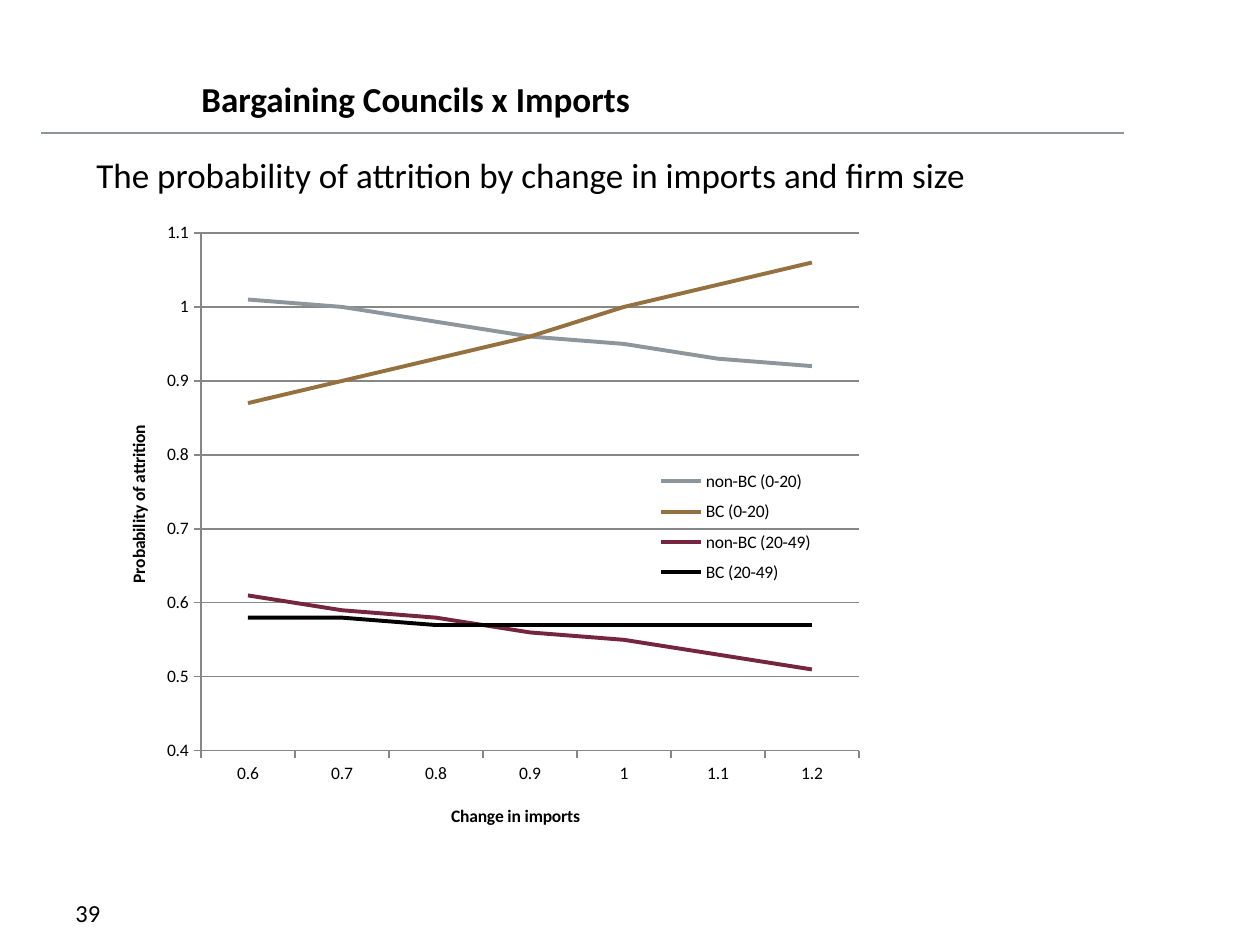
from dataclasses import dataclass

from lxml import etree
from pptx import Presentation
from pptx import util as u
from pptx.chart import data as chart_data
from pptx.dml import color
from pptx.enum import chart as ec
from pptx.enum import shapes, text
from pptx.oxml import ns

SCALE = 914400 / 126  # EMU per pixel


@dataclass(frozen=True)
class Theme:
    """Colours, font and type sizes of the slide."""
    font: str = "Calibri"
    ink: str = "000000"
    rule: str = "8C969C"
    grid: str = "878787"
    heading: int = 20
    number: int = 14
    chart: int = 10
    line: float = 2.25
    hairline: float = 0.75


THEME = Theme()
CATEGORIES = ["0.6", "0.7", "0.8", "0.9", "1", "1.1", "1.2"]
SERIES = [
    ("non-BC (0-20)", "8C969C", [1.01, 1, 0.98, 0.96, 0.95, 0.93, 0.92]),
    ("BC (0-20)", "967140", [0.87, 0.9, 0.93, 0.96, 1, 1.03, 1.06]),
    ("non-BC (20-49)", "75263D", [0.61, 0.59, 0.58, 0.56, 0.55, 0.53, 0.51]),
    ("BC (20-49)", "000000", [0.58, 0.58, 0.57, 0.57, 0.57, 0.57, 0.57]),
]


def px(*lengths):
    """Turn pixel lengths into EMU."""
    return [u.Emu(round(length * SCALE)) for length in lengths]


def set_all(target, values):
    """Set each attribute named in a dict."""
    for name, value in values.items():
        setattr(target, name, value)


def style_font(font, size, bold=False):
    """Apply the theme font and ink colour."""
    set_all(font, {"name": THEME.font, "size": u.Pt(size), "bold": bold})
    font.color.rgb = color.RGBColor.from_string(THEME.ink)


def style_line(line, rgb, width):
    """Give a line its colour and width in points."""
    line.color.rgb = color.RGBColor.from_string(rgb)
    line.width = u.Pt(width)


def add_label(slide, box, words, size, bold=False, anchor=text.MSO_ANCHOR.TOP):
    """Place one line of text in a box."""
    frame = slide.shapes.add_textbox(*px(*box)).text_frame
    set_all(frame, {"word_wrap": True, "vertical_anchor": anchor})
    run = frame.paragraphs[0].add_run()
    run.text = words
    style_font(run.font, size, bold)


def add_rule(slide, left, top, width):
    """Draw the horizontal rule below the title."""
    rule = slide.shapes.add_connector(
        shapes.MSO_CONNECTOR.STRAIGHT, *px(left, top, left + width, top))
    style_line(rule.line, THEME.rule, 1)
    etree.SubElement(rule.element.spPr, ns.qn("a:effectLst"))


def place_part(chart, query, box, part):
    """Fix a chart part at a pixel box relative to the chart's box."""
    owner = chart.element.xpath(query)[0]
    for old in owner.findall(ns.qn("c:layout")):
        owner.remove(old)
    layout = etree.Element(ns.qn("c:layout"))
    manual = etree.SubElement(layout, ns.qn("c:manualLayout"))
    settings = [("xMode", "edge"), ("yMode", "edge")]
    if query.endswith("plotArea"):
        settings.insert(0, ("layoutTarget", "inner"))
    fractions = [length / box[2 + i % 2] for i, length in enumerate(part)]
    settings += [(name, f"{value:.4f}") for name, value in zip("xywh", fractions)]
    for name, value in settings:
        etree.SubElement(manual, ns.qn(f"c:{name}")).set("val", value)
    overlay = owner.find(ns.qn("c:overlay"))
    if overlay is None:
        owner.insert(0, layout)
    else:
        overlay.addprevious(layout)


def style_axis(axis, title):
    """Set an axis title, its ticks and its line."""
    set_all(axis, {"major_tick_mark": ec.XL_TICK_MARK.OUTSIDE,
                   "minor_tick_mark": ec.XL_TICK_MARK.NONE})
    style_line(axis.format.line, THEME.grid, THEME.hairline)
    style_font(axis.tick_labels.font, THEME.chart)
    run = axis.axis_title.text_frame.paragraphs[0].add_run()
    run.text = title
    style_font(run.font, THEME.chart, bold=True)


def add_attrition_chart(slide, box):
    """Build the line chart of attrition by change in imports."""
    data = chart_data.CategoryChartData(number_format="General")
    data.categories = CATEGORIES
    for name, _, values in SERIES:
        data.add_series(name, values)
    chart = slide.shapes.add_chart(ec.XL_CHART_TYPE.LINE, *px(*box), data).chart
    style_font(chart.font, THEME.chart)
    set_all(chart, {"has_title": False, "has_legend": True})
    set_all(chart.legend, {"position": ec.XL_LEGEND_POSITION.RIGHT,
                           "include_in_layout": False})
    style_font(chart.legend.font, THEME.chart)
    chart.plots[0].vary_by_categories = False
    for series, (_, rgb, _) in zip(chart.plots[0].series, SERIES):
        series.smooth = False
        series.marker.style = ec.XL_MARKER_STYLE.NONE
        style_line(series.format.line, rgb, THEME.line)

    style_axis(chart.category_axis, "Change in imports")
    style_axis(chart.value_axis, "Probability of attrition")
    set_all(chart.value_axis, {"minimum_scale": 0.4, "maximum_scale": 1.1,
                               "major_unit": 0.1, "has_major_gridlines": True})
    style_line(chart.value_axis.major_gridlines.format.line, THEME.grid, THEME.hairline)
    chart.element.xpath(".//c:valAx/c:title//a:bodyPr")[0].set("rot", "-5400000")

    parts = {".//c:plotArea": (106, 23, 658, 518),
             ".//c:legend": (561, 251, 160, 132),
             ".//c:catAx/c:title": (353, 592),
             ".//c:valAx/c:title": (29, 212)}
    for query, part in parts.items():
        place_part(chart, query, box, part)


def build_slide(presentation):
    """Compose the slide from its regions."""
    slide = presentation.slides.add_slide(presentation.slide_layouts[6])
    add_rule(slide, 41, 133, 1083)
    add_label(slide, (63, 892, 262, 63), "39", THEME.number)
    add_label(slide, (189, 63, 924, 63), "Bargaining Councils x Imports",
              THEME.heading, bold=True, anchor=text.MSO_ANCHOR.BOTTOM)
    add_attrition_chart(slide, (95, 210, 955, 639))
    add_label(slide, (84, 147, 1113, 55),
              "The probability of attrition by change in imports and firm size",
              THEME.heading)


presentation = Presentation()
presentation.slide_width, presentation.slide_height = px(1260, 945)
build_slide(presentation)
presentation.save("out.pptx")
